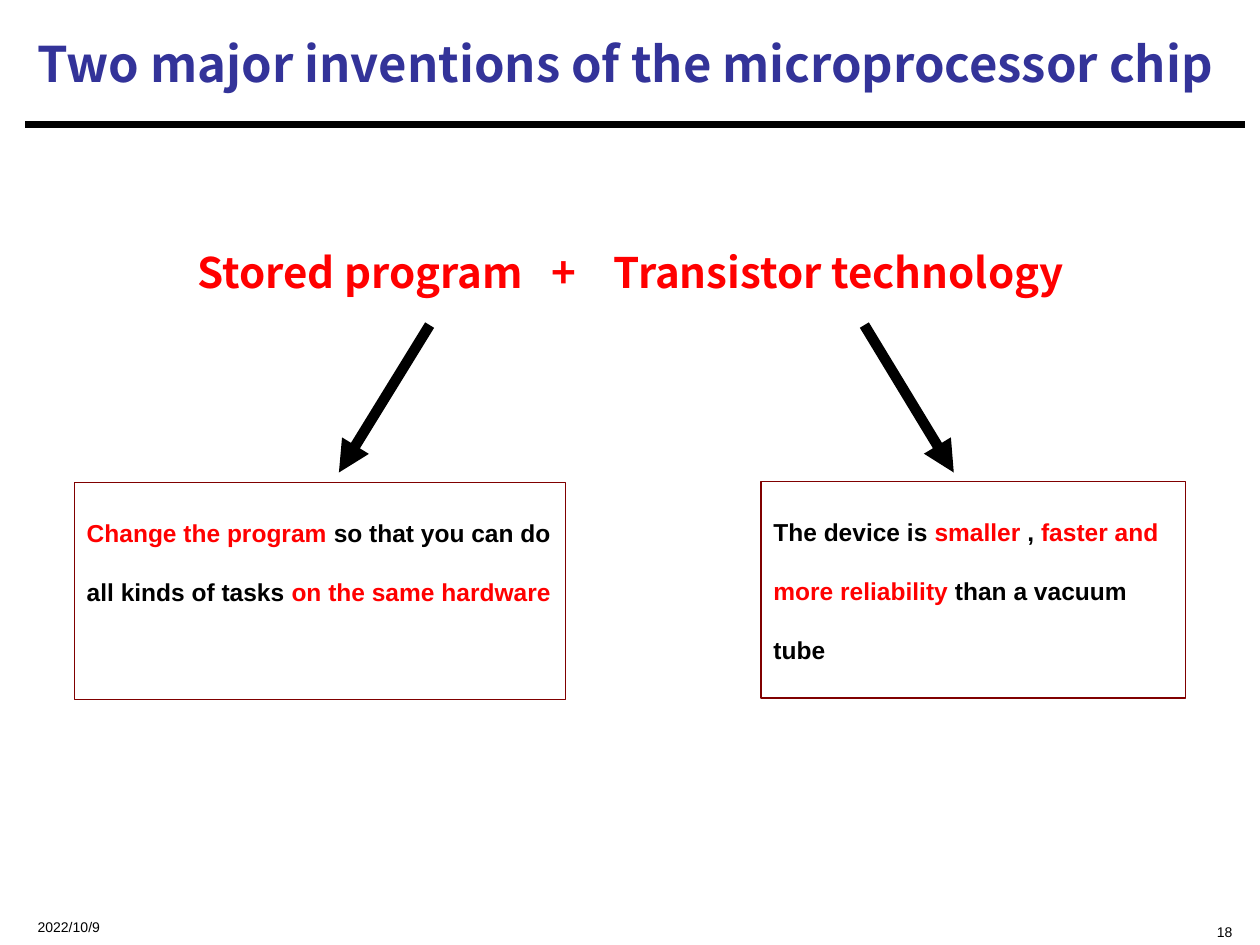
from pptx import Presentation
from pptx.dml.color import RGBColor
from pptx.enum.shapes import MSO_CONNECTOR, MSO_SHAPE
from pptx.enum.text import MSO_ANCHOR, MSO_AUTO_SIZE, PP_ALIGN
from pptx.oxml.ns import qn
from pptx.util import Inches, Pt
from lxml.etree import SubElement

COLORS = {"ink": "000000", "red": "FF0000", "blue": "333399", "border": "800000"}
HEAD_FONT, BODY_FONT = "Noto Sans CJK SC", "Arial"

TITLE = [("Two major inventions of the microprocessor chip", "blue")]
INVENTIONS = [("Stored program", "red"), (" ", "red", 11), ("+", "red"),
              (" ", "red", 16), ("Transistor technology", "red")]
BENEFITS = [
    ((0.59, 3.83, 3.9, 1.72),
     [("Change the program ", "red"), ("so that you can do all kinds of tasks ", "ink"),
      ("on the same hardware", "red")]),
    ((6.04, 3.82, 3.37, 1.72),
     [("The device is ", "ink"), ("smaller", "red"), (" , ", "ink"),
      ("faster and more reliability", "red"), (" than a vacuum tube", "ink")]),
]
RULE = ((0.2, 0.99), (9.88, 0.99))
ARROWS = [((3.41, 2.58), (2.69, 3.75)), ((6.86, 2.58), (7.57, 3.75))]
FOOTERS = [
    ((0.2, 7.15, 2.5, 0.27), "2022/10/9", PP_ALIGN.LEFT),
    ((6.88, 7.19, 3, 0.27), "18", PP_ALIGN.RIGHT),
]


def rgb(name):
    return RGBColor.from_string(COLORS[name])


def place(sp, box):
    for name, value in zip(("left", "top", "width", "height"), box):
        setattr(sp, name, Inches(value))


def write(sp, runs, font, para, frame):
    tf = sp.text_frame
    frame = {"word_wrap": True, "auto_size": MSO_AUTO_SIZE.NONE, **frame}
    for name, value in frame.items():
        setattr(tf, name, value)
    p = tf.paragraphs[0]
    for name, value in para.items():
        setattr(p, name, value)
    for text, color, *spacing in runs:
        r = p.add_run()
        r.text = text
        for name, value in font.items():
            setattr(r.font, name, value)
        r.font.color.rgb = rgb(color)
        if spacing:
            r.font._element.set("spc", str(spacing[0] * 100))


def connect(s, start, end, width, arrow=False):
    c = s.shapes.add_connector(MSO_CONNECTOR.STRAIGHT, *map(Inches, start + end))
    c.line.color.rgb = rgb("ink")
    c.line.width = Pt(width)
    if arrow:
        SubElement(c.line._get_or_add_ln(), qn("a:tailEnd"), type="triangle")
    SubElement(c._element.spPr, qn("a:effectLst"))


def main():
    prs = Presentation()
    prs.slide_width, prs.slide_height = Inches(10), Inches(7.5)
    s = prs.slides.add_slide(prs.slide_layouts[1])
    connect(s, *RULE, 3.75)

    title, body = s.shapes.title, s.placeholders[1]
    place(title, (0.2, 0.08, 9.67, 0.84))
    write(title, TITLE, {"name": HEAD_FONT, "size": Pt(28), "bold": True},
          {"alignment": PP_ALIGN.LEFT}, {"vertical_anchor": MSO_ANCHOR.MIDDLE})

    place(body, (1.23, 1.95, 7.55, 0.88))
    pPr = body.text_frame.paragraphs[0]._p.get_or_add_pPr()
    pPr.set("marL", "0")
    pPr.set("indent", "0")
    SubElement(pPr, qn("a:buNone"))
    write(body, INVENTIONS, {"name": HEAD_FONT, "size": Pt(24), "bold": True},
          {"alignment": PP_ALIGN.CENTER, "line_spacing": 0.9, "space_before": Pt(0)},
          {"vertical_anchor": MSO_ANCHOR.TOP})

    for box, runs in BENEFITS:
        sp = s.shapes.add_shape(MSO_SHAPE.RECTANGLE, *map(Inches, box))
        sp.shadow.inherit = False
        sp.fill.background()
        sp.line.color.rgb = rgb("border")
        sp.line.width = Pt(0.75)
        write(sp, runs, {"name": BODY_FONT, "size": Pt(14), "bold": True},
              {"alignment": PP_ALIGN.LEFT, "line_spacing": 2.0},
              {"vertical_anchor": MSO_ANCHOR.TOP})

    for start, end in ARROWS:
        connect(s, start, end, 6, arrow=True)

    for box, text, align in FOOTERS:
        sp = s.shapes.add_textbox(*map(Inches, box))
        write(sp, [(text, "ink")], {"name": BODY_FONT, "size": Pt(8)},
              {"alignment": align},
              {"vertical_anchor": MSO_ANCHOR.BOTTOM, "margin_bottom": 0})

    prs.save("out.pptx")


if __name__ == "__main__":
    main()
